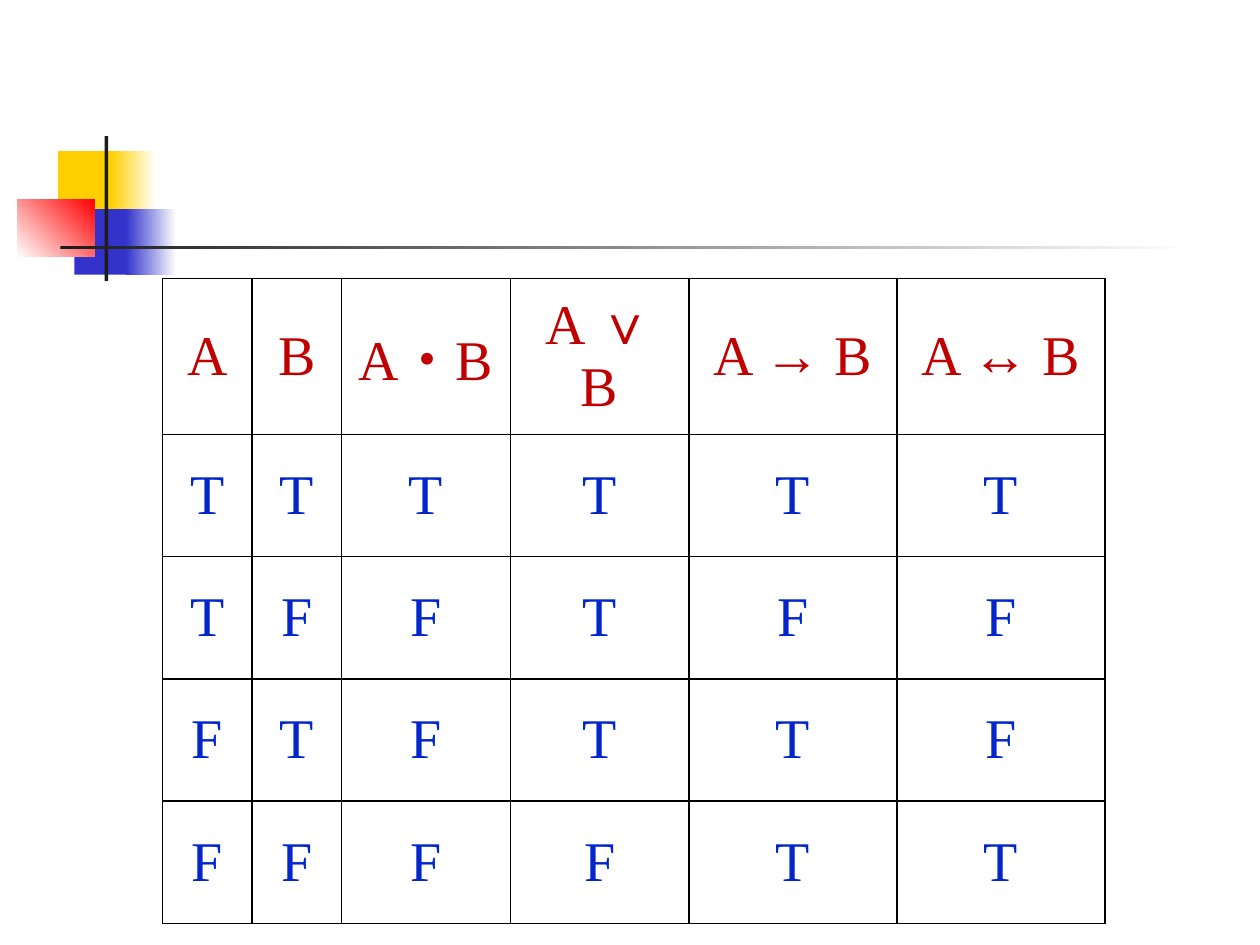
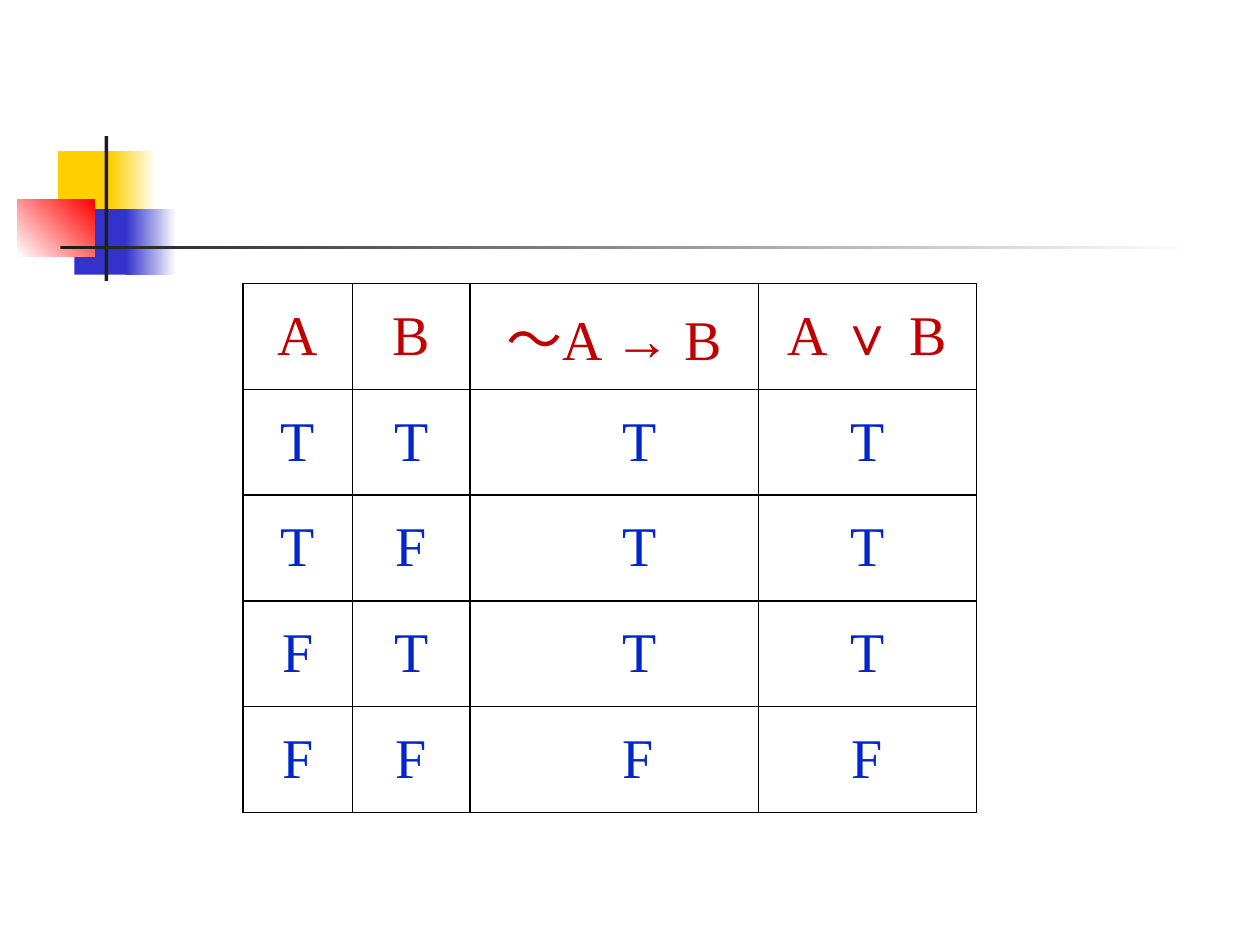
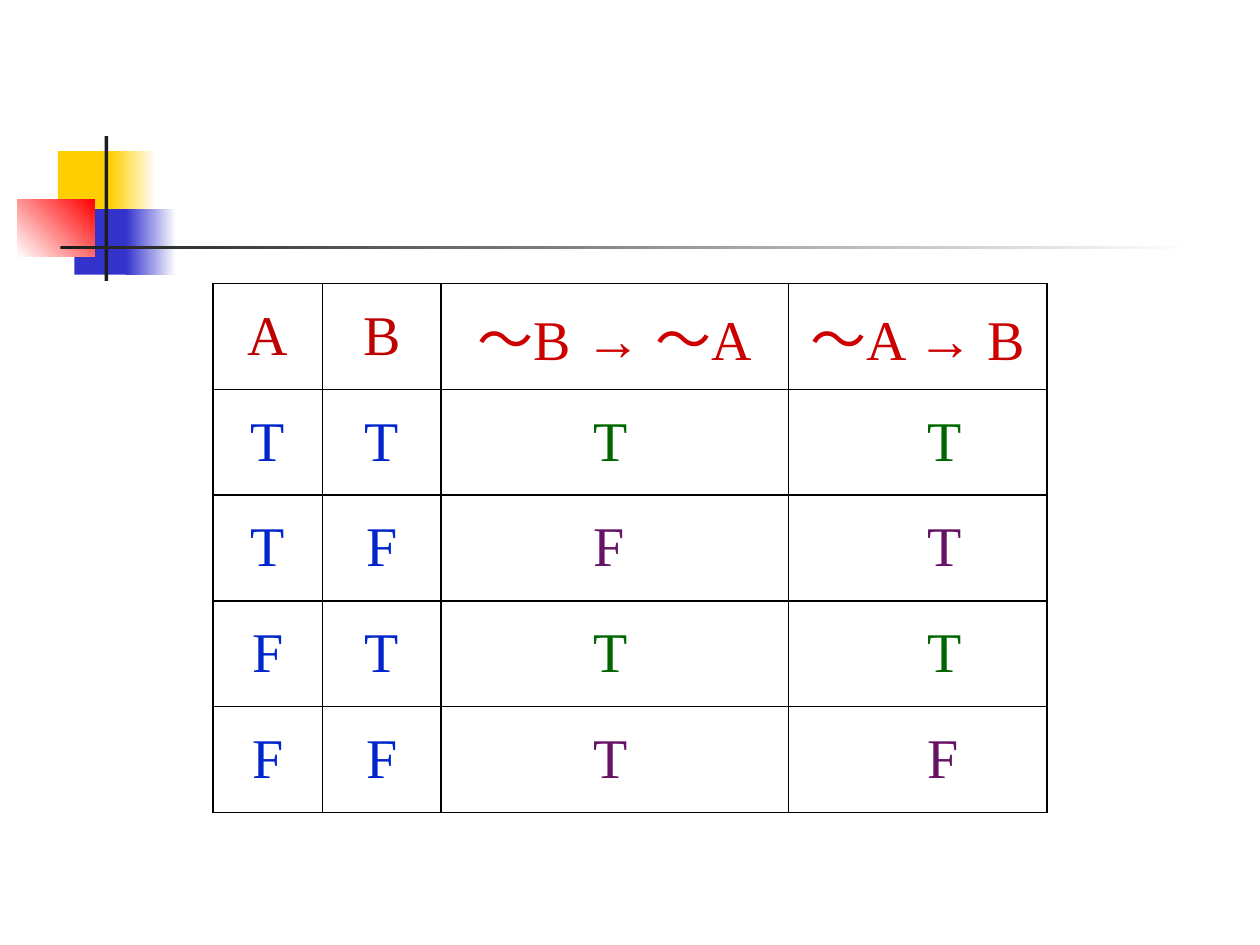
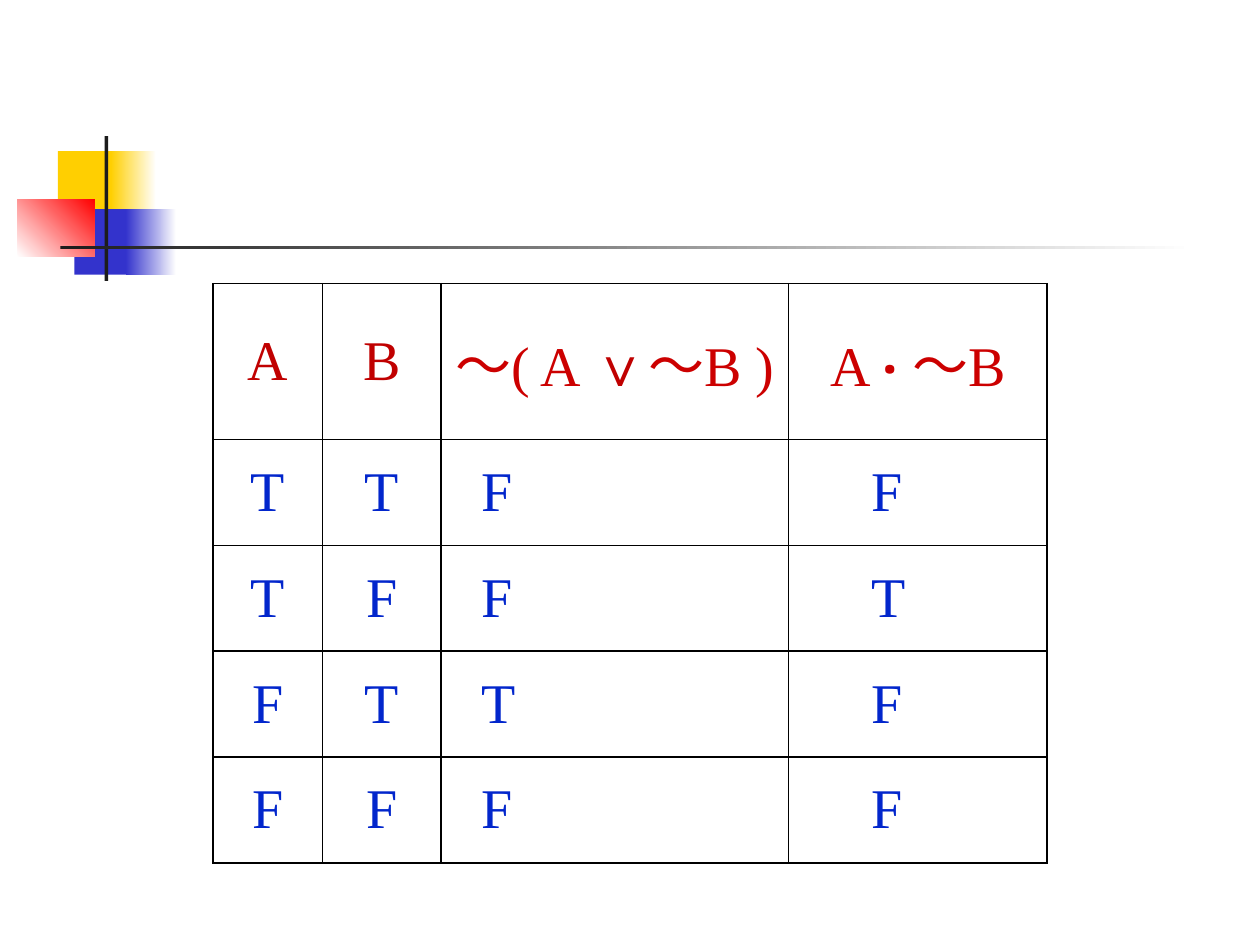
"""Build four truth-table slides that share one decorated master."""
from dataclasses import dataclass

from lxml import etree
from pptx import Presentation
from pptx.dml.color import RGBColor
from pptx.enum.shapes import MSO_SHAPE
from pptx.enum.text import MSO_ANCHOR, PP_ALIGN
from pptx.oxml.ns import qn
from pptx.util import Inches, Pt

RECT = MSO_SHAPE.RECTANGLE
CENTER, LEFT = PP_ALIGN.CENTER, PP_ALIGN.LEFT
MIDDLE = MSO_ANCHOR.MIDDLE
BLANK_LAYOUT = 6
FIRST_MASTER_ID = 100


@dataclass(frozen=True)
class Theme:
    font: str = "Times New Roman"
    size: int = 32
    border_pt: int = 1
    border: str = "000000"
    head: str = "C00000"
    formula: str = "CC0000"
    value: str = "0226CC"
    same: str = "006600"
    differ: str = "661366"
    yellow: str = "FFCF01"
    blue: str = "3333CC"
    red: str = "FF0000"
    dark: str = "1C1C1C"
    white: str = "FFFFFF"


THEME = Theme()


@dataclass(frozen=True)
class Block:
    left: float
    top: float
    width: float
    height: float
    color: str
    end: str = ""
    angle: int = 0


@dataclass(frozen=True)
class Part:
    text: str
    color: str = THEME.head
    bold: bool = False


@dataclass(frozen=True)
class Column:
    head: tuple[Part, ...]
    values: str
    width: float
    indent: float = 0


@dataclass(frozen=True)
class TruthTable:
    left: float
    top: float
    row_height: float
    columns: tuple[Column, ...]
    compare: bool = False


BLOCKS = (
    Block(0.46, 1.2, 0.48, 0.52, THEME.yellow),
    Block(0.88, 1.2, 0.36, 0.52, THEME.yellow, THEME.white),
    Block(0.59, 1.66, 0.46, 0.52, THEME.blue),
    Block(1, 1.66, 0.4, 0.52, THEME.blue, THEME.white),
    Block(0.14, 1.58, 0.61, 0.46, THEME.white, THEME.red, 45),
    Block(0.83, 1.08, 0.03, 1.15, THEME.dark),
    Block(0.48, 1.95, 9, 0.03, THEME.dark, THEME.white),
)


def column(head: str, values: str, width: float, indent: float = 0,
           color: str = THEME.head) -> Column:
    return Column((Part(head, color),), values, width, indent)


def inputs(width_a: float, width_b: float) -> tuple[Column, ...]:
    return column("A", "TTFF", width_a), column("B", "TFTF", width_b)


TABLES = (
    TruthTable(1.29, 2.21, 0.97, (
        *inputs(0.71, 0.71),
        column("A・B", "TFFF", 1.34),
        column("A ∨ B", "TTTF", 1.42),
        column("A → B", "TFTT", 1.65),
        column("A ↔︎ B", "TFFT", 1.65),
    )),
    TruthTable(1.93, 2.25, 0.84, (
        *inputs(0.87, 0.93),
        column("～A → B", "TTTF", 2.29, 1.21),
        column("A ∨ B", "TTTF", 1.73),
    )),
    TruthTable(1.69, 2.25, 0.84, (
        *inputs(0.87, 0.94),
        column("～B → ～A", "TFTT", 2.76, 1.21, THEME.formula),
        column("～A → B", "TTTF", 2.05, 1.1, THEME.formula),
    ), compare=True),
    TruthTable(1.69, 2.25, 0.84, (
        *inputs(0.87, 0.94),
        Column((Part("～( A ", THEME.formula), Part("∨"),
                Part("～B )", THEME.formula)), "FFTF", 2.76, 0.32),
        Column((Part("A ", THEME.formula), Part("‧ ", THEME.formula, True),
                Part("～B", THEME.formula)), "FTFF", 2.05, 0.66),
    )),
)


def rgb(color: str) -> RGBColor:
    return RGBColor.from_string(color)


def add_block(slide, block: Block):
    sp = slide.shapes.add_shape(RECT, Inches(block.left), Inches(block.top),
                                Inches(block.width), Inches(block.height))
    sp.shadow.inherit = False
    sp.line.fill.background()
    if block.end:
        sp.fill.gradient()
        sp.fill.gradient_angle = block.angle
        for stop, color in zip(sp.fill.gradient_stops, (block.color, block.end)):
            stop.color.rgb = rgb(color)
    else:
        sp.fill.solid()
        sp.fill.fore_color.rgb = rgb(block.color)
    return sp


def decorate_master(prs, slide) -> None:
    tree = prs.slide_master.element.cSld.spTree
    for number, block in enumerate(BLOCKS, FIRST_MASTER_ID):
        el = add_block(slide, block).element
        el.nvSpPr.cNvPr.set("id", str(number))
        tree.append(el)


def set_borders(cell) -> None:
    tc_pr = cell._tc.get_or_add_tcPr()
    for i, side in enumerate(("lnL", "lnR", "lnT", "lnB")):
        ln = etree.Element(qn(f"a:{side}"), w=str(Pt(THEME.border_pt)))
        fill = etree.SubElement(ln, qn("a:solidFill"))
        etree.SubElement(fill, qn("a:srgbClr"), val=THEME.border)
        tc_pr.insert(i, ln)


def fill_cell(cell, parts: tuple[Part, ...], indent: float = 0) -> None:
    cell.fill.background()
    set_borders(cell)
    cell.vertical_anchor = MIDDLE
    if indent:
        cell.margin_left = Inches(indent)
    p = cell.text_frame.paragraphs[0]
    p.alignment = LEFT if indent else CENTER
    for part in parts:
        r = p.add_run()
        r.text = part.text
        fmt = {"name": THEME.font, "size": Pt(THEME.size), "bold": part.bold}
        for key, value in fmt.items():
            setattr(r.font, key, value)
        r.font.color.rgb = rgb(part.color)


def value_color(spec_table: TruthTable, col: Column, row: int) -> str:
    if not (spec_table.compare and col.indent):
        return THEME.value
    first, second = (c.values[row] for c in spec_table.columns[-2:])
    return THEME.same if first == second else THEME.differ


def add_truth_table(slide, truth: TruthTable) -> None:
    rows = len(truth.columns[0].values) + 1
    width = sum(col.width for col in truth.columns)
    table = slide.shapes.add_table(
        rows, len(truth.columns), Inches(truth.left), Inches(truth.top),
        Inches(width), Inches(truth.row_height * rows)).table
    table.first_row = table.horz_banding = False
    for row in table.rows:
        row.height = Inches(truth.row_height)
    for c, col in enumerate(truth.columns):
        table.columns[c].width = Inches(col.width)
        fill_cell(table.cell(0, c), col.head)
        for i, value in enumerate(col.values):
            part = Part(value, value_color(truth, col, i))
            fill_cell(table.cell(i + 1, c), (part,), col.indent)


def main() -> None:
    prs = Presentation()
    prs.slide_width, prs.slide_height = Inches(10), Inches(7.5)
    layout = prs.slide_layouts[BLANK_LAYOUT]
    slides = [prs.slides.add_slide(layout) for _ in TABLES]
    decorate_master(prs, slides[0])
    for slide, truth in zip(slides, TABLES):
        add_truth_table(slide, truth)
    prs.save("out.pptx")


if __name__ == "__main__":
    main()
